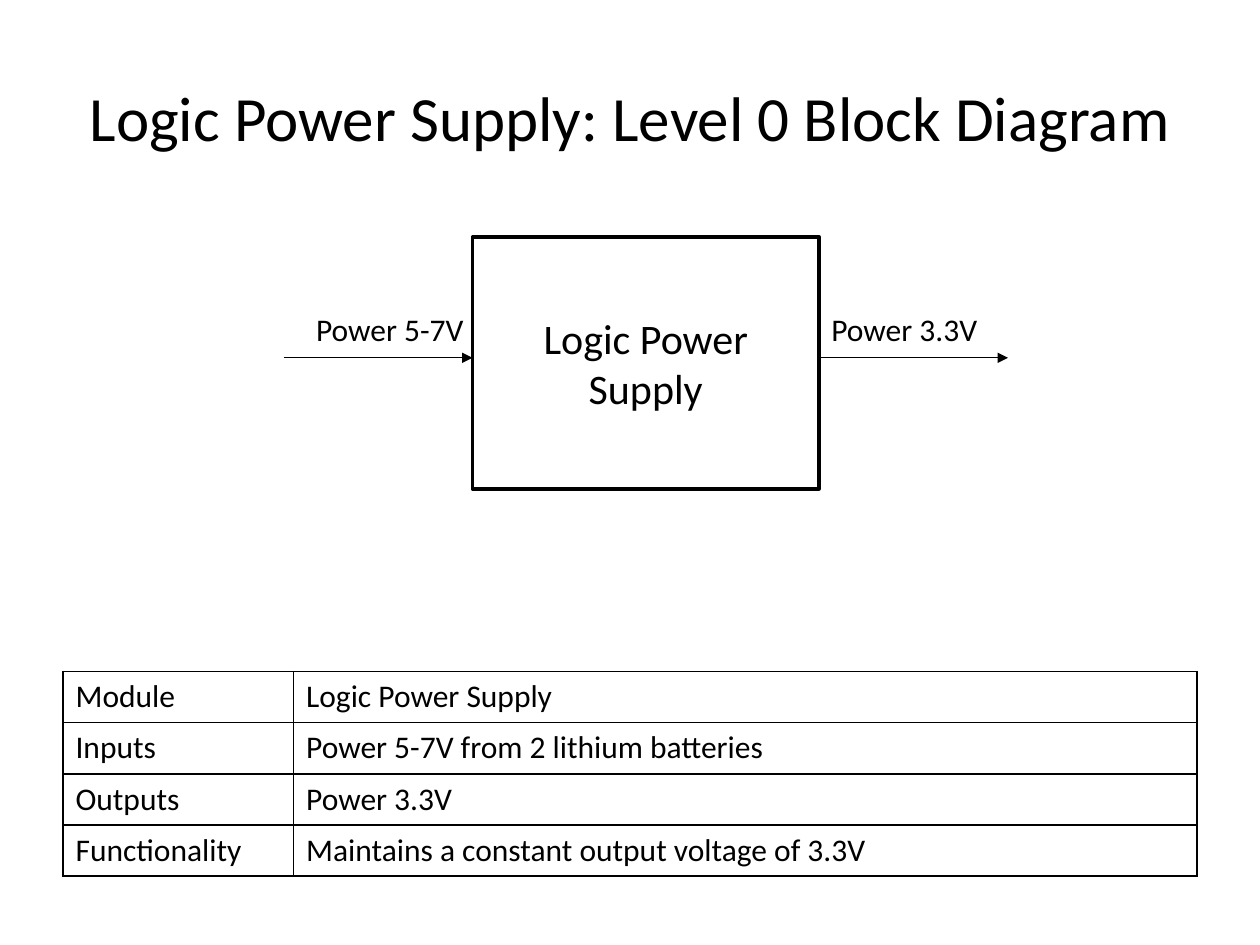
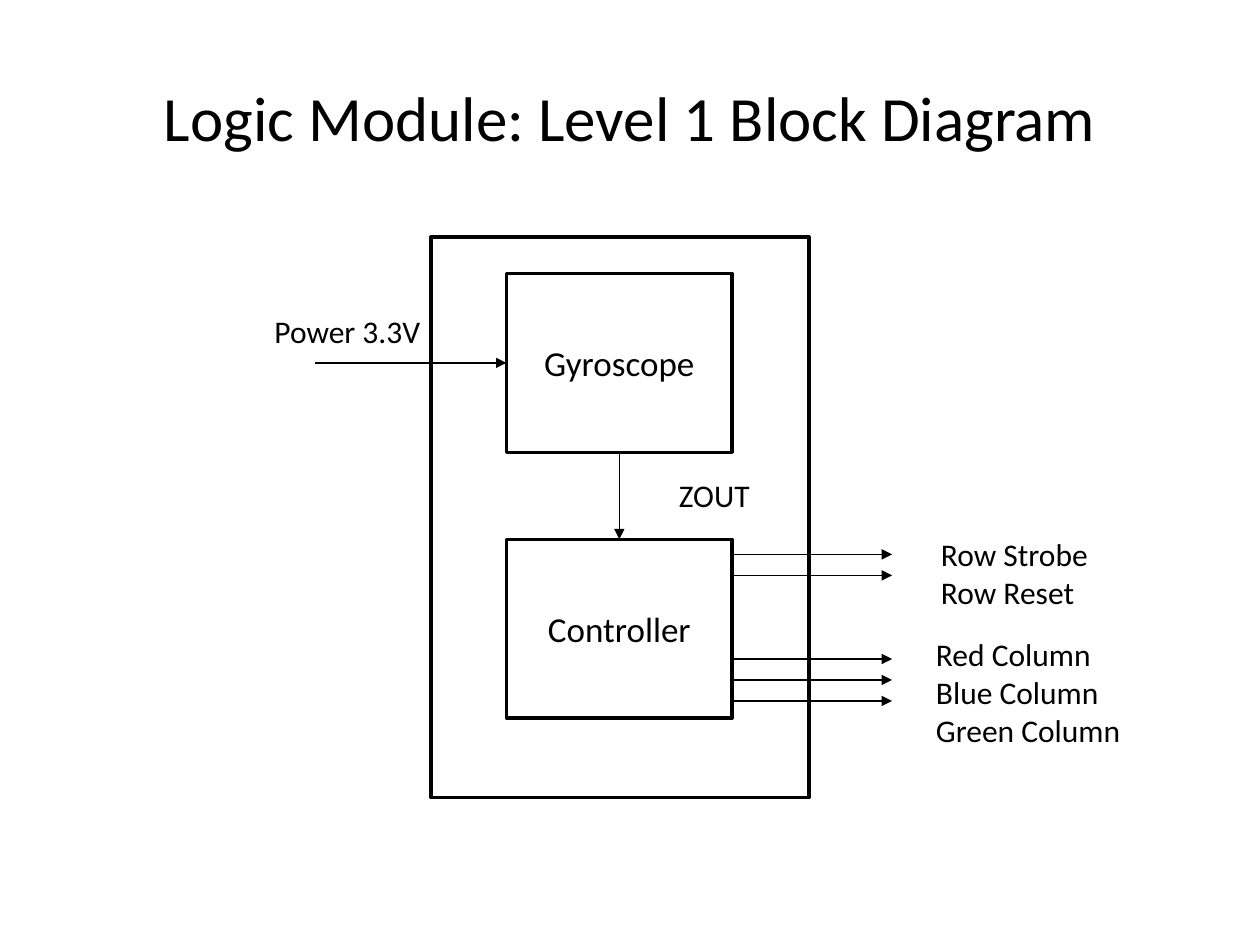
from lxml import etree
from pptx import Presentation
from pptx.dml.color import RGBColor
from pptx.enum.shapes import MSO_CONNECTOR, MSO_SHAPE
from pptx.enum.text import MSO_ANCHOR, PP_ALIGN
from pptx.oxml.ns import qn
from pptx.util import Inches, Pt

BLACK = RGBColor(0x00, 0x00, 0x00)
WHITE = RGBColor(0xFF, 0xFF, 0xFF)
FONT = "Calibri"
TITLE_SIZE, LABEL_SIZE = 36, 18
CENTER, LEFT = PP_ALIGN.CENTER, PP_ALIGN.LEFT
MIDDLE, TOP = MSO_ANCHOR.MIDDLE, MSO_ANCHOR.TOP
RECTANGLE, STRAIGHT = MSO_SHAPE.RECTANGLE, MSO_CONNECTOR.STRAIGHT

# Content: boxes are (left, top, width, height) in inches
SUPPLY_TITLE = "Logic Power Supply: Level 0 Block Diagram"
SUPPLY_BOX = (3.75, 1.88, 2.75, 2)
SUPPLY_ARROW_Y, SUPPLY_ARROW_LENGTH = 2.84, 1.5
SUPPLY_LABELS = [  # text, box, wraps
    ("Power 5-7V", (2.41, 2.41, 1.39, 0.4), False),
    ("Power 3.3V", (6.5, 2.41, 1.67, 0.4), True),
]
SUPPLY_TABLE = [
    ("Module", "Logic Power Supply"),
    ("Inputs", "Power 5-7V from 2 lithium batteries"),
    ("Outputs", "Power 3.3V"),
    ("Functionality", "Maintains a constant output voltage of 3.3V"),
]
TABLE_BOX = (0.5, 5.33, 9, 1.62)
TABLE_COLUMNS = (1.83, 7.17)

LOGIC_TITLE = "Logic Module: Level 1 Block Diagram"
MODULE_BOX = (3.42, 1.88, 3, 4.45)
CHIP_LEFT, CHIP_WIDTH, CHIP_HEIGHT = 4.02, 1.79, 1.42
CHIPS = [("Gyroscope", 2.17), ("Controller", 4.28)]  # text, top
LOGIC_LABELS = [
    ("Power 3.3V", (2.08, 2.43, 1.37, 0.4), False),
    ("ZOUT", (5.29, 3.73, 0.8, 0.4), True),
    ("Row Strobe\nRow Reset", (7.37, 4.2, 1.5, 0.71), True),
    ("Red Column\nBlue Column\nGreen Column", (7.33, 4.99, 1.75, 1.01), True),
]
OUTPUT_GROUPS = [(4.4, 2), (5.23, 3)]  # first arrow's y, number of arrows
OUTPUT_STEP = 1 / 6
OUTPUT_END = 7.08


def inches(values):
    return [Inches(value) for value in values]


def write(frame, text, size, align=LEFT, anchor=TOP, wrap=True):
    frame.text = text
    frame.word_wrap = wrap
    frame.vertical_anchor = anchor
    for paragraph in frame.paragraphs:
        paragraph.alignment = align
        for run in paragraph.runs:
            run.font.name = FONT
            run.font.size = Pt(size)
            run.font.color.rgb = BLACK


def add_titled_slide(deck, text, left, width):
    slide = deck.slides.add_slide(deck.slide_layouts[5])
    title = slide.shapes.title
    title.left, title.top, title.width, title.height = inches((left, 0.3, width, 1.25))
    write(title.text_frame, text, TITLE_SIZE, CENTER, MIDDLE)
    return slide


def add_block(slide, box, text="", size=LABEL_SIZE):
    block = slide.shapes.add_shape(RECTANGLE, *inches(box))
    block.shadow.inherit = False
    block.fill.solid()
    block.fill.fore_color.rgb = WHITE
    block.line.color.rgb = BLACK
    block.line.width = Pt(2)
    if text:
        write(block.text_frame, text, size, CENTER, MIDDLE)


def add_labels(slide, labels):
    for text, box, wrap in labels:
        label = slide.shapes.add_textbox(*inches(box))
        write(label.text_frame, text, LABEL_SIZE, wrap=wrap)


def add_arrow(slide, x1, y1, x2, y2):
    arrow = slide.shapes.add_connector(STRAIGHT, *inches((x1, y1, x2, y2)))
    arrow.line.color.rgb = BLACK
    arrow.line.width = Pt(0.75)
    etree.SubElement(arrow.line._get_or_add_ln(), qn("a:tailEnd"), type="triangle")
    etree.SubElement(arrow._element.spPr, qn("a:effectLst"))


def add_borders(cell):
    properties = cell._tc.get_or_add_tcPr()
    for side in ("lnL", "lnR", "lnT", "lnB"):
        border = etree.SubElement(properties, qn("a:" + side), w=str(Pt(1)))
        fill = etree.SubElement(border, qn("a:solidFill"))
        etree.SubElement(fill, qn("a:srgbClr"), val=str(BLACK))


def add_summary_table(slide, rows):
    table = slide.shapes.add_table(len(rows), len(TABLE_COLUMNS), *inches(TABLE_BOX)).table
    table.first_row = table.horz_banding = False
    for column, width in zip(table.columns, TABLE_COLUMNS):
        column.width = Inches(width)
    for r, row in enumerate(rows):
        for c, text in enumerate(row):
            cell = table.cell(r, c)
            write(cell.text_frame, text, LABEL_SIZE)
            add_borders(cell)
            cell.fill.solid()
            cell.fill.fore_color.rgb = WHITE


def build_supply_slide(deck):
    slide = add_titled_slide(deck, SUPPLY_TITLE, 0, 10)
    add_summary_table(slide, SUPPLY_TABLE)
    add_block(slide, SUPPLY_BOX, "Logic Power Supply", 24)

    # Input and output arrows
    left, right = SUPPLY_BOX[0], SUPPLY_BOX[0] + SUPPLY_BOX[2]
    for start in (left - SUPPLY_ARROW_LENGTH, right):
        add_arrow(slide, start, SUPPLY_ARROW_Y, start + SUPPLY_ARROW_LENGTH, SUPPLY_ARROW_Y)
    add_labels(slide, SUPPLY_LABELS)


def build_logic_slide(deck):
    slide = add_titled_slide(deck, LOGIC_TITLE, 0.5, 9)
    add_block(slide, MODULE_BOX)
    for text, top in CHIPS:
        add_block(slide, (CHIP_LEFT, top, CHIP_WIDTH, CHIP_HEIGHT), text, 20)

    # Power into the gyroscope, then its signal down to the controller
    gyroscope_top, controller_top = (top for _, top in CHIPS)
    power_y = gyroscope_top + CHIP_HEIGHT / 2
    middle = CHIP_LEFT + CHIP_WIDTH / 2
    add_arrow(slide, 2.5, power_y, CHIP_LEFT, power_y)
    add_arrow(slide, middle, gyroscope_top + CHIP_HEIGHT, middle, controller_top)

    # Row and column outputs
    for first_y, count in OUTPUT_GROUPS:
        for i in range(count):
            y = first_y + i * OUTPUT_STEP
            add_arrow(slide, CHIP_LEFT + CHIP_WIDTH, y, OUTPUT_END, y)
    add_labels(slide, LOGIC_LABELS)


def main():
    deck = Presentation()
    deck.slide_width, deck.slide_height = Inches(10), Inches(7.5)
    build_supply_slide(deck)
    build_logic_slide(deck)
    deck.save("out.pptx")


if __name__ == "__main__":
    main()
